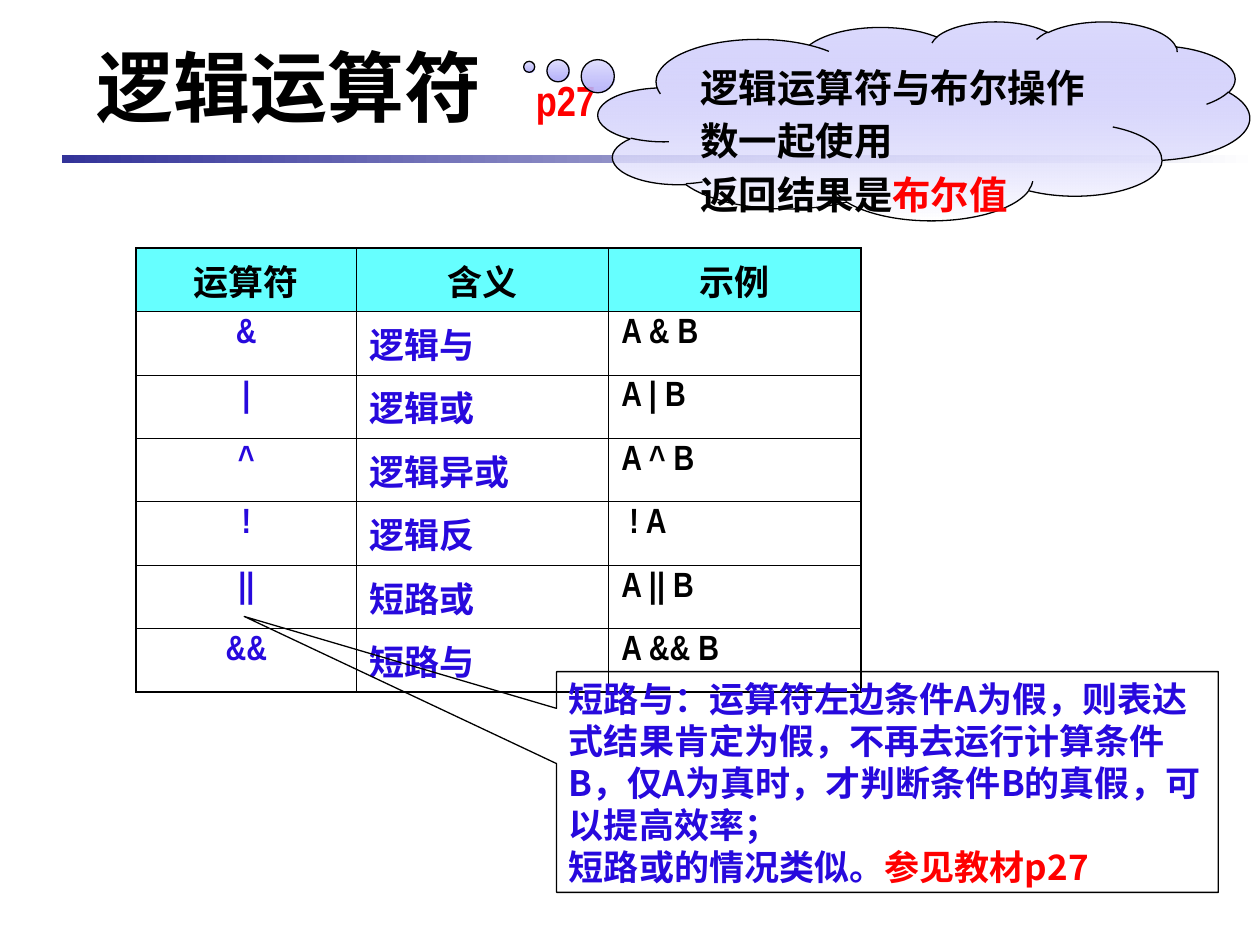
from lxml.etree import SubElement
from pptx import Presentation
from pptx.dml.color import RGBColor
from pptx.enum.shapes import MSO_SHAPE as SHAPE
from pptx.enum.text import MSO_ANCHOR as ANCHOR, MSO_AUTO_SIZE as AUTO, PP_ALIGN as ALIGN
from pptx.oxml.ns import qn
from pptx.util import Cm, Pt

BLACK = RGBColor(0x00, 0x00, 0x00)
WHITE = RGBColor(0xFF, 0xFF, 0xFF)
RED = RGBColor(0xFF, 0x00, 0x00)
BLUE = RGBColor(0x27, 0x09, 0xDD)
NAVY = RGBColor(0x33, 0x33, 0x99)
VIOLET = RGBColor(0x93, 0x8E, 0xF8)
CYAN = RGBColor(0x66, 0xFF, 0xFF)
LATIN, CJK = "Arial Narrow", "Noto Sans CJK SC"


def write(p, runs, size, color, name=LATIN, align=ALIGN.LEFT):
    """Fill a paragraph with (text, own colour or None) runs."""
    p.alignment = align
    p.font.size, p.font.bold, p.font.name = Pt(size), True, name
    p.font.color.rgb = color
    SubElement(p.font._rPr, qn("a:ea"), typeface=CJK)
    for text, own_color in runs:
        r = p.add_run()
        r.text = text
        if own_color is not None:
            r.font.color.rgb = own_color


def add_shape(kind, left, top, width, height, adjustments=()):
    sp = s.shapes.add_shape(kind, Cm(left), Cm(top), Cm(width), Cm(height))
    sp.shadow.inherit = False
    for i, value in enumerate(adjustments):
        sp.adjustments[i] = value
    sp.line.color.rgb = BLACK
    sp.line.width = Pt(0.75)
    sp.text_frame.word_wrap = True
    sp.text_frame.vertical_anchor = ANCHOR.TOP
    return sp


prs = Presentation()
prs.slide_width, prs.slide_height = Cm(25.4), Cm(19.05)
s = prs.slides.add_slide(prs.slide_layouts[5])

# Rule under the title
bar = add_shape(SHAPE.RECTANGLE, 1.25, 3.12, 24.15, 0.16)
bar.line.fill.background()
bar.fill.gradient()
bar.fill.gradient_angle = 0
for stop, color in zip(bar.fill.gradient_stops, (NAVY, WHITE)):
    stop.color.rgb = color

# Title, with the page reference on a tab stop
title = s.shapes.title
title.left, title.top, title.width, title.height = Cm(1.7), Cm(0.53), Cm(20.6), Cm(2.39)
tf = title.text_frame
tf.auto_size = AUTO.NONE
tf.vertical_anchor = ANCHOR.MIDDLE
p = tf.paragraphs[0]
write(p, [("逻辑运算符\t", None), ("p27", RED)], 44, BLACK)
p.runs[1].font.size = Pt(24)
tabs = SubElement(p._p.pPr, qn("a:tabLst"))
SubElement(tabs, qn("a:tab"), pos=str(Cm(8.85)), algn="l")
p._p.pPr.insert(0, tabs)

# Cloud
cloud = add_shape(SHAPE.CLOUD_CALLOUT, 12.06, 0.43, 13.13, 4.01, (-0.606, -0.271))
cloud.fill.gradient()
cloud.fill.gradient_angle = 270
for stop, color in zip(cloud.fill.gradient_stops, (VIOLET, WHITE)):
    stop.color.rgb = color
violet = next(cloud._element.spPr.iter(qn("a:srgbClr")))
SubElement(violet, qn("a:alpha"), val="32000")
tf = cloud.text_frame
cloud_lines = [
    [("逻辑运算符与布尔操作数一起使用", None)],
    [("返回结果是", None), ("布尔值", RED)],
]
for i, runs in enumerate(cloud_lines):
    p = tf.add_paragraph() if i else tf.paragraphs[0]
    write(p, runs, 22, BLACK)
    p.line_spacing = 1.15

# Operator table
rows = [
    ("运算符", "含义", "示例"),
    ("&", "逻辑与", "A & B"),
    ("|", "逻辑或", "A | B"),
    ("^", "逻辑异或", "A ^ B"),
    ("!", "逻辑反", " ! A"),
    ("||", "短路或", "A || B"),
    ("&&", "短路与", "A && B"),
]
widths = (4.45, 5.08, 5.08)
last_row, last_col = len(rows) - 1, len(widths) - 1
table = s.shapes.add_table(len(rows), len(widths), Cm(2.74), Cm(5),
                           Cm(sum(widths)), Cm(1.1 * len(rows))).table
table.first_row = table.horz_banding = False
for column, width in zip(table.columns, widths):
    column.width = Cm(width)
for i, row in enumerate(rows):
    for j, text in enumerate(row):
        cell = table.cell(i, j)
        header = i == 0
        p = cell.text_frame.paragraphs[0]
        write(p, [(text, None)], 20, BLACK if header or j == last_col else BLUE,
              align=ALIGN.CENTER if header or j == 0 else ALIGN.LEFT)
        p.space_before = Pt(5)
        # Thick outer borders, thin inner ones
        outer = {"lnL": j == 0, "lnR": j == last_col, "lnT": header, "lnB": i == last_row}
        for side, thick in outer.items():
            ln = SubElement(cell._tc.get_or_add_tcPr(), qn("a:" + side),
                            w=str(Pt(1.08 if thick else 0.45)))
            fill = SubElement(ln, qn("a:solidFill"))
            SubElement(fill, qn("a:srgbClr"), val=str(BLACK))
        if header:
            cell.fill.solid()
            cell.fill.fore_color.rgb = CYAN
        else:
            cell.fill.background()

# Note on short-circuit operators
note = add_shape(SHAPE.RECTANGULAR_CALLOUT, 11.22, 13.54, 13.34, 4.45, (-0.972, -0.75))
note.fill.background()
tf = note.text_frame
note_lines = [
    [("短路与：运算符左边条件A为假，则表达式结果肯定为假，不再去运行计算条件B，"
      "仅A为真时，才判断条件B的真假，可以提高效率；", None)],
    [("短路或的情况类似。", None), ("参见教材p27", RED)],
]
for i, runs in enumerate(note_lines):
    p = tf.add_paragraph() if i else tf.paragraphs[0]
    write(p, runs, 20, BLUE, CJK)

prs.save("out.pptx")
